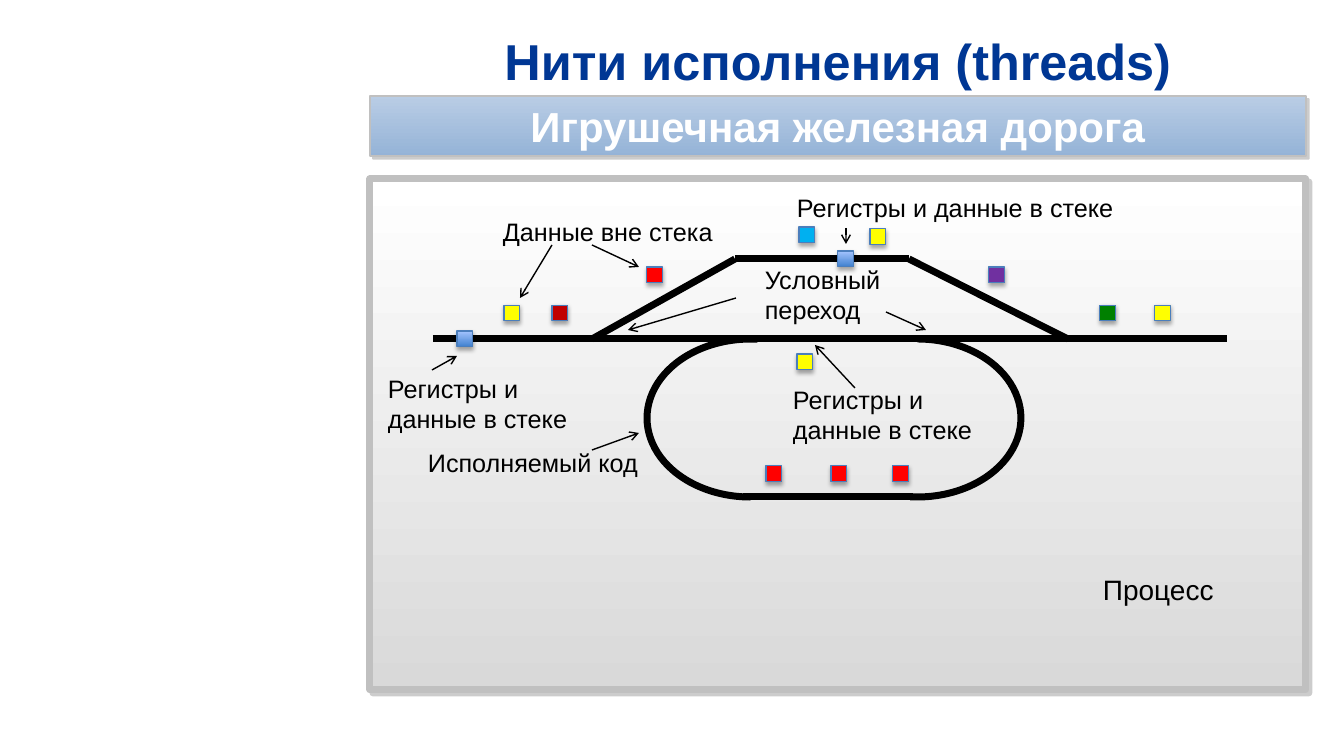
from lxml import etree
from pptx import Presentation
from pptx import util as u
from pptx.dml.color import RGBColor
from pptx.enum import shapes as kinds, text as txt
from pptx.oxml.ns import qn

EMU_PER_PX = 914400 / 100.8
COLUMN_X, COLUMN_W = 370, 936
CAR = 16

TITLE = "Нити исполнения (threads)"
SUBTITLE = "Игрушечная железная дорога"
STACK = "Регистры и данные в стеке"

# text, left, top, width, height, points
LABELS = [
    ("Данные вне стека", 493, 211, 242, 40, 18),
    (STACK, 378, 368, 215, 72, 18),
    ("Исполняемый код", 418, 442, 318, 40, 18),
    ("Процесс", 1093, 568, 174, 44, 20),
    ("Условный переход", 755, 259, 207, 72, 18),
    (STACK, 783, 379, 215, 72, 18),
    (STACK, 787, 187, 354, 40, 18),
]

SIDING_Y, MAIN_Y, LOOP_Y = 259, 339, 497
MAIN_LINE = [(433, MAIN_Y), (1227, MAIN_Y)]
SIDING = [(592, MAIN_Y), (735, SIDING_Y), (909, SIDING_Y), (1068, MAIN_Y)]
LOOP_BOTTOM = [(913, LOOP_Y), (743, LOOP_Y)]
LOOP_W = 207
LOOP_ENDS = [(814, 0), (647, 180)]  # left, rotation

POINTERS = [
    ((592, 450), (639, 433)),
    ((552, 245), (520, 298)),
    ((592, 245), (639, 267)),
    ((432, 370), (457, 356)),
    ((736, 298), (628, 330)),
    ((886, 312), (926, 330)),
    ((855, 388), (815, 345)),
    ((846, 228), (846, 244)),
]

TRAINS = [(457, 331), (838, 251)]
TRAIN_FILL = ("A4C4FF", "3F80CE")
DATA = {
    "C00000": [(552, 305)],
    "FF0000": [(647, 267), (893, 466), (831, 466), (766, 466)],
    "00B0F0": [(799, 227)],
    "FFFF00": [(870, 229), (1155, 305), (504, 305), (797, 354)],
    "7030A0": [(989, 267)],
    "008000": [(1100, 305)],
}
# colour, opacity %, blur pt, distance pt, direction degrees
PANEL_SHADOW = ("808080", 40, 0, 3, 45)
CAR_SHADOW = ("000000", 35, 3.1, 1.8, 90)


def px(*lengths):
    return [round(length * EMU_PER_PX) for length in lengths]


def color(hex_code):
    return RGBColor.from_string(hex_code)


def add_shadow(shape, hex_code, opacity, blur, distance, direction):
    shape.shadow.inherit = False
    effects = shape._element.spPr.find(qn("a:effectLst"))
    outer = etree.SubElement(
        effects, qn("a:outerShdw"), blurRad=str(u.Pt(blur)), dist=str(u.Pt(distance)),
        dir=str(direction * 60000), algn="ctr", rotWithShape="0")
    tint = etree.SubElement(outer, qn("a:srgbClr"), val=hex_code)
    etree.SubElement(tint, qn("a:alpha"), val=str(opacity * 1000))


def add_box(box, fill, line, points, shadow):
    """Rectangle with a plain fill, or a (top, bottom) gradient."""
    shape = slide.shapes.add_shape(kinds.MSO_SHAPE.RECTANGLE, *px(*box))
    if isinstance(fill, tuple):
        shape.fill.gradient()
        shape.fill.gradient_angle = 270
        for stop, shade in zip(shape.fill.gradient_stops, fill):
            stop.color.rgb = color(shade)
    else:
        shape.fill.solid()
        shape.fill.fore_color.rgb = color(fill)
    shape.line.color.rgb = color(line)
    shape.line.width = u.Pt(points)
    add_shadow(shape, *shadow)
    return shape


def add_line(start, end, points, arrow=False):
    line = slide.shapes.add_connector(kinds.MSO_CONNECTOR.STRAIGHT, *px(*start, *end))
    line.line.color.rgb = color("000000")
    line.line.width = u.Pt(points)
    if arrow:
        etree.SubElement(line.line._get_or_add_ln(), qn("a:tailEnd"), type="arrow")
    etree.SubElement(line._element.spPr, qn("a:effectLst"))


def write(shape, words, points, hex_code="000000", heading=False):
    frame = shape.text_frame
    frame.word_wrap = True
    paragraph = frame.paragraphs[0]
    if heading:
        frame.vertical_anchor = txt.MSO_ANCHOR.MIDDLE
        paragraph.alignment = txt.PP_ALIGN.CENTER
    run = paragraph.add_run()
    run.text = words
    run.font.name = "Arial"
    run.font.size = u.Pt(points)
    run.font.bold = heading
    run.font.color.rgb = color(hex_code)


prs = Presentation()
prs.slide_width, prs.slide_height = px(1344, 756)
slide = prs.slides.add_slide(prs.slide_layouts[6])

title = slide.shapes.add_textbox(*px(COLUMN_X, 26, COLUMN_W, 69))
write(title, TITLE, 36, "003794", heading=True)
add_box((COLUMN_X, 179, COLUMN_W, 511), ("FFFFFF", "D9D9D9"), "C0C0C0", 5, PANEL_SHADOW)
banner = add_box((COLUMN_X, 96, COLUMN_W, 60), ("B9CDE5", "95B3D7"), "C0C0C0", 1, PANEL_SHADOW)
write(banner, SUBTITLE, 30, "FFFFFF", heading=True)

for track in (MAIN_LINE, SIDING, LOOP_BOTTOM):
    for start, end in zip(track, track[1:]):
        add_line(start, end, 5)
for left, rotation in LOOP_ENDS:
    bend = slide.shapes.add_shape(
        kinds.MSO_SHAPE.ARC, *px(left, MAIN_Y, LOOP_W, LOOP_Y - MAIN_Y))
    bend.adjustments[0], bend.adjustments[1] = 162, 57.08
    bend.rotation = rotation
    bend.fill.background()
    bend.line.color.rgb = color("000000")
    bend.line.width = u.Pt(5)
    bend.shadow.inherit = False

for fill, places in [(TRAIN_FILL, TRAINS), *DATA.items()]:
    for left, top in places:
        add_box((left, top, CAR, CAR), fill, "4B7EBC", 0.75, CAR_SHADOW)
for start, end in POINTERS:
    add_line(start, end, 1, arrow=True)
for words, left, top, width, height, points in LABELS:
    write(slide.shapes.add_textbox(*px(left, top, width, height)), words, points)

prs.save("out.pptx")
